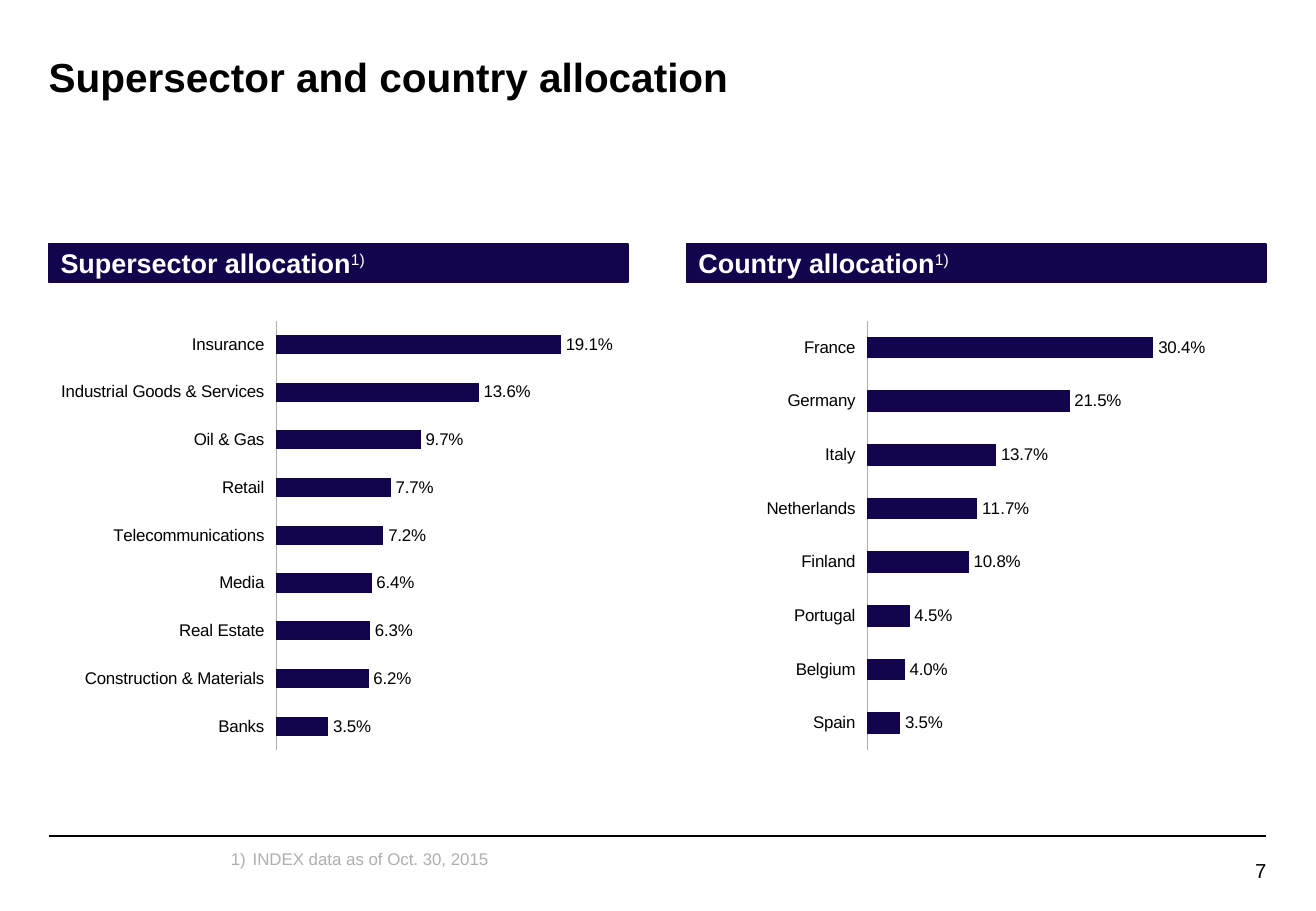
from lxml import etree
from pptx import Presentation
from pptx.chart.data import CategoryChartData
from pptx.dml.color import RGBColor
from pptx.enum.chart import XL_CHART_TYPE, XL_LABEL_POSITION, XL_TICK_LABEL_POSITION, XL_TICK_MARK
from pptx.enum.shapes import MSO_CONNECTOR, MSO_SHAPE
from pptx.enum.text import MSO_ANCHOR, PP_ALIGN
from pptx.oxml import parse_xml
from pptx.oxml.ns import nsdecls, qn
from pptx.util import Inches, Pt

BAR_CLUSTERED = XL_CHART_TYPE.BAR_CLUSTERED
OUTSIDE_END = XL_LABEL_POSITION.OUTSIDE_END
LABELS_LOW = XL_TICK_LABEL_POSITION.LOW
NO_TICKS = XL_TICK_MARK.NONE
STRAIGHT = MSO_CONNECTOR.STRAIGHT
RECTANGLE = MSO_SHAPE.RECTANGLE
TOP, MIDDLE = MSO_ANCHOR.TOP, MSO_ANCHOR.MIDDLE
LEFT, RIGHT = PP_ALIGN.LEFT, PP_ALIGN.RIGHT

NAVY = RGBColor(0x14, 0x04, 0x4E)
GREY = RGBColor(0xAF, 0xAF, 0xAF)
BLACK = RGBColor(0x00, 0x00, 0x00)
WHITE = RGBColor(0xFF, 0xFF, 0xFF)
FONT = "Arial"
MARGIN, CONTENT_WIDTH = 0.4, 10.02

SUPERSECTORS = [
    ("Banks", 0.035), ("Construction & Materials", 0.062), ("Real Estate", 0.063),
    ("Media", 0.064), ("Telecommunications", 0.072), ("Retail", 0.077),
    ("Oil & Gas", 0.097), ("Industrial Goods & Services", 0.136), ("Insurance", 0.191),
]
COUNTRIES = [
    ("Spain", 0.035), ("Belgium", 0.04), ("Portugal", 0.045), ("Finland", 0.108),
    ("Netherlands", 0.117), ("Italy", 0.137), ("Germany", 0.215), ("France", 0.304),
]


class AllocationSlide:
    def __init__(self, presentation):
        self.slide = presentation.slides.add_slide(presentation.slide_layouts[5])
        self.shapes = self.slide.shapes

    def style_font(self, font, size, color=BLACK, bold=False):
        font.name, font.size, font.bold = FONT, Pt(size), bold
        font.color.rgb = color

    def style_frame(self, frame, anchor=TOP, left_inset=0.0):
        frame.margin_left = Inches(left_inset)
        frame.margin_top = frame.margin_right = frame.margin_bottom = 0
        frame.vertical_anchor = anchor

    def title(self, text, left, top, width, height):
        title = self.shapes.title
        title.left, title.top = Inches(left), Inches(top)
        title.width, title.height = Inches(width), Inches(height)
        title.text_frame.text = text
        self.style_frame(title.text_frame)
        paragraph = title.text_frame.paragraphs[0]
        paragraph.alignment = LEFT
        self.style_font(paragraph.runs[0].font, 24, bold=True)

    def text(self, text, left, top, width, height, size, color=BLACK, align=LEFT):
        box = self.shapes.add_textbox(Inches(left), Inches(top), Inches(width), Inches(height))
        frame = box.text_frame
        frame.word_wrap = True
        frame.text = text
        self.style_frame(frame)
        paragraph = frame.paragraphs[0]
        paragraph.alignment, paragraph.line_spacing = align, 0.95
        self.style_font(paragraph.runs[0].font, size, color)
        return paragraph

    def footnote(self, text, left, top, width, height):
        properties = self.text(text, left, top, width, height, 10, GREY)._p.get_or_add_pPr()
        indent = Inches(0.18)
        properties.set("marL", str(indent))
        properties.set("indent", str(-indent))
        numbering = etree.SubElement(properties, qn("a:buAutoNum"))
        numbering.set("type", "arabicParenR")

    def rule(self, left, top, width):
        line = self.shapes.add_connector(
            STRAIGHT, Inches(left), Inches(top), Inches(left + width), Inches(top))
        line.line.color.rgb, line.line.width = BLACK, Pt(1)
        etree.SubElement(line._element.spPr, qn("a:effectLst"))

    def heading(self, text, note_mark, left, top, width, height):
        bar = self.shapes.add_shape(
            RECTANGLE, Inches(left), Inches(top), Inches(width), Inches(height))
        bar.shadow.inherit = False
        bar.fill.solid()
        bar.fill.fore_color.rgb = bar.line.color.rgb = NAVY
        bar.line.width = Pt(1)
        bar.text_frame.text = text
        bar.text_frame.word_wrap = False
        self.style_frame(bar.text_frame, MIDDLE, 0.1)
        paragraph = bar.text_frame.paragraphs[0]
        paragraph.alignment = LEFT
        self.style_font(paragraph.runs[0].font, 16, WHITE, True)
        mark = paragraph.add_run()
        mark.text = note_mark
        self.style_font(mark.font, 16, WHITE)
        mark.font._element.set("baseline", "30000")

    def bar_chart(self, rows, axis_maximum, left, top, width, height):
        data = CategoryChartData(number_format="0.0%")
        data.categories = [name for name, _ in rows]
        data.add_series("Series 1", [share for _, share in rows])
        chart = self.shapes.add_chart(
            BAR_CLUSTERED, Inches(left), Inches(top), Inches(width), Inches(height), data).chart
        chart.has_legend = chart.has_title = False
        self.style_font(chart.font, 18)

        # Axes
        names = chart.category_axis
        names.major_tick_mark = names.minor_tick_mark = NO_TICKS
        names.tick_label_position = LABELS_LOW
        names.has_major_gridlines = False
        names.format.line.color.rgb, names.format.line.width = GREY, Pt(0.5)
        self.style_font(names.tick_labels.font, 10)
        shares = chart.value_axis
        shares.minimum_scale, shares.maximum_scale = 0, axis_maximum
        shares.has_major_gridlines = shares.visible = False

        # Bars and their labels
        plot = chart.plots[0]
        plot.gap_width, plot.vary_by_categories = 150, False
        series = plot.series[0]
        series.format.fill.solid()
        series.format.fill.fore_color.rgb = NAVY
        labels = series.data_labels
        labels.show_value, labels.position = True, OUTSIDE_END
        labels.number_format, labels.number_format_is_linked = "0.0%", False
        self.style_font(labels.font, 10)
        self.place_plot(chart, x=0.347, y=0.05, w=0.548, h=0.842)

    def place_plot(self, chart, **fractions):
        area = chart._chartSpace.chart.plotArea
        for layout in area.findall(qn("c:layout")):
            area.remove(layout)
        modes = '<c:layoutTarget val="inner"/><c:xMode val="edge"/><c:yMode val="edge"/>'
        sizes = "".join(f'<c:{key} val="{value}"/>' for key, value in fractions.items())
        area.insert(0, parse_xml(
            f'<c:layout {nsdecls("c")}><c:manualLayout>{modes}{sizes}</c:manualLayout></c:layout>'))


def main():
    presentation = Presentation()
    presentation.slide_width, presentation.slide_height = Inches(10.83), Inches(7.5)
    page = AllocationSlide(presentation)

    # Title and footer
    page.title("Supersector and country allocation", MARGIN, 0.43, CONTENT_WIDTH, 0.85)
    page.rule(MARGIN, 6.88, CONTENT_WIDTH)
    page.text("7", 9.53, 7.08, 0.89, 0.19, 12, align=RIGHT)
    page.footnote("INDEX data as of Oct. 30, 2015", 1.9, 7, 8.4, 0.16)

    # Headings and charts
    panels = [
        ("Supersector allocation", MARGIN, SUPERSECTORS, 0.25, 0.33, 5.6),
        ("Country allocation", 5.65, COUNTRIES, 0.35, 5.42, 4.95),
    ]
    for heading, heading_left, rows, axis_maximum, chart_left, chart_width in panels:
        page.heading(heading, "1)", heading_left, 2.01, 4.77, 0.31)
        page.bar_chart(rows, axis_maximum, chart_left, 2.43, chart_width, 4.2)

    presentation.save("out.pptx")


if __name__ == "__main__":
    main()
